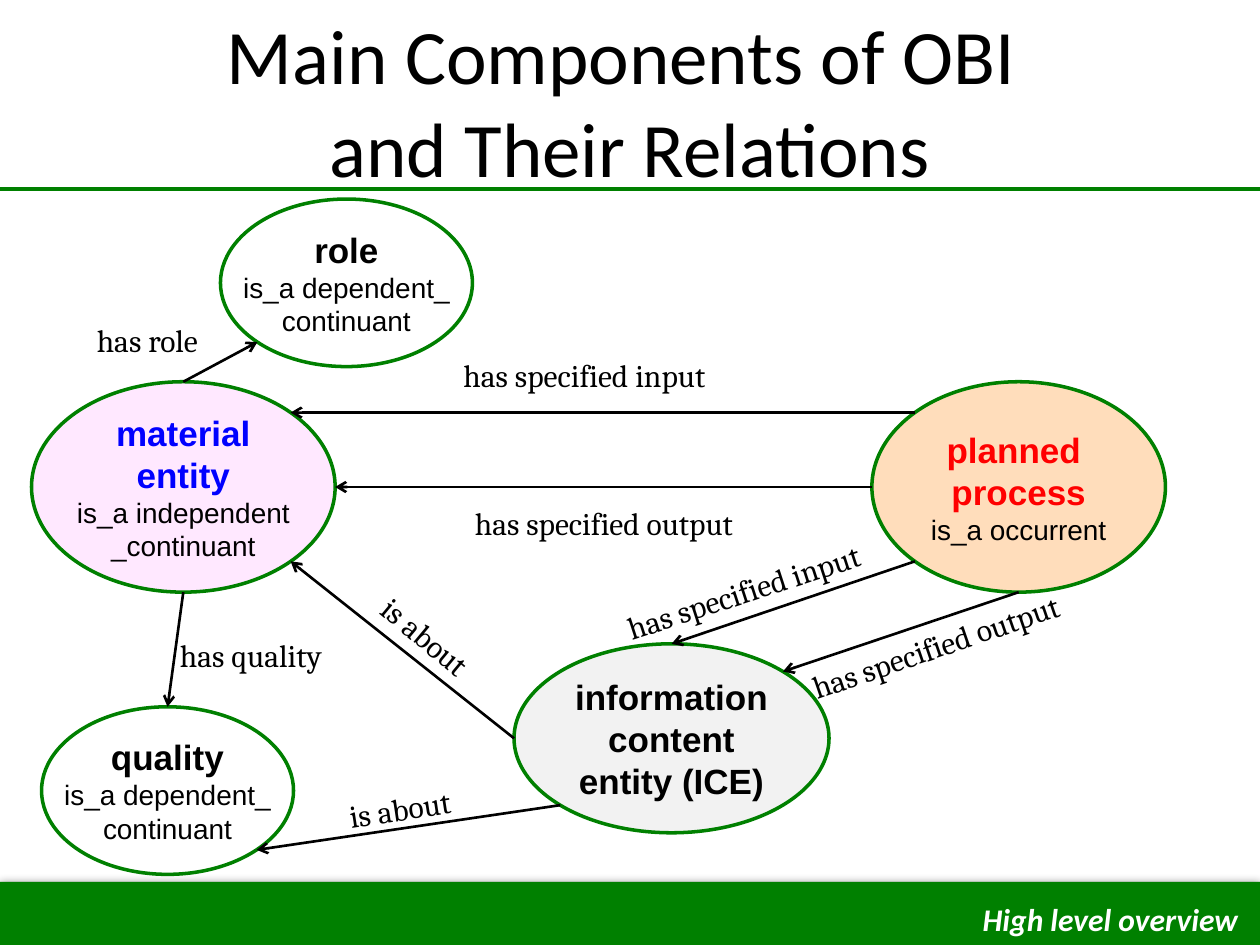
import math

from lxml import etree
from pptx import Presentation
from pptx.dml.color import RGBColor
from pptx.enum.shapes import MSO_CONNECTOR, MSO_SHAPE
from pptx.enum.text import MSO_ANCHOR, MSO_AUTO_SIZE, PP_ALIGN
from pptx.oxml import parse_xml
from pptx.oxml.ns import nsdecls, qn
from pptx.util import Emu, Pt

PX = 9144  # 100 px to the inch
CENTER, MIDDLE = PP_ALIGN.CENTER, MSO_ANCHOR.MIDDLE
NO_FIT, GROW = MSO_AUTO_SIZE.NONE, MSO_AUTO_SIZE.SHAPE_TO_FIT_TEXT
ELLIPSE, RECT, STRAIGHT = MSO_SHAPE.OVAL, MSO_SHAPE.RECTANGLE, MSO_CONNECTOR.STRAIGHT

BLACK = RGBColor(0x00, 0x00, 0x00)
WHITE = RGBColor(0xFF, 0xFF, 0xFF)
GREEN = RGBColor(0x00, 0x80, 0x00)
RED = RGBColor(0xFF, 0x00, 0x00)
BLUE = RGBColor(0x00, 0x00, 0xFF)
PEACH = RGBColor(0xFF, 0xCC, 0x99)
PINK = RGBColor(0xFF, 0xCC, 0xFF)
GREY = RGBColor(0xF2, 0xF2, 0xF2)

# Connection sites of an ellipse, counter-clockwise from the top
TOP, TOP_LEFT, LEFT, BOTTOM_LEFT, BOTTOM, BOTTOM_RIGHT, RIGHT, TOP_RIGHT = range(8)

# name: box, fill, opacity %, margin, wrap, heading colour, headings, details
NODES = {
    "process": ((692, 303, 233, 167), PEACH, 66, 0, False, RED,
                ["planned ", "process"], ["is_a occurrent"]),
    "quality": ((33, 561, 200, 133), WHITE, 100, 0, False, BLACK,
                ["quality"], ["is_a dependent_", "continuant"]),
    "material": ((25, 303, 241, 167), PINK, 45, 0, True, BLUE,
                 ["material entity"], ["is_a independent", "_continuant"]),
    "information": ((408, 511, 250, 150), GREY, 100, 10, True, BLACK,
                    ["information content entity (ICE)"], []),
    "role": ((175, 158, 200, 133), WHITE, 100, 0, False, BLACK,
             ["role"], ["is_a dependent_", "continuant"]),
}

# from, site, to, site, label, label box, rotation, wrap
RELATIONS = [
    ("material", BOTTOM, "quality", TOP, "has quality", (133, 500, 170, 40), 0, True),
    ("information", LEFT, "material", BOTTOM_RIGHT, "is about", (286, 489, 113, 40), 39.9, False),
    ("process", TOP_LEFT, "material", TOP_RIGHT, "has specified input", (358, 278, 259, 40), 0, True),
    ("process", LEFT, "material", RIGHT, "has specified output", (367, 395, 259, 40), 0, True),
    ("information", BOTTOM_LEFT, "quality", BOTTOM_RIGHT, "is about", (267, 621, 113, 40), 351.3, False),
    ("process", BOTTOM_LEFT, "information", TOP, "has specified input", (483, 442, 259, 40), 342, True),
    ("process", BOTTOM, "information", TOP_RIGHT, "has specified output", (629, 487, 259, 40), 340.9, True),
    ("material", TOP, "role", BOTTOM_LEFT, "has role", (67, 250, 117, 40), 0, True),
]


def px(*values):
    return [Emu(round(v * PX)) for v in values]


def add_run(p, text, font, size, color, bold=False, italic=False):
    r = p.add_run()
    r.text = text
    r.font.name, r.font.size = font, Pt(size)
    r.font.bold, r.font.italic = bold, italic
    r.font.color.rgb = color


def add_label(s, box, text, font="Cambria", color=BLACK, strong=False, rotation=0, wrap=True):
    tb = s.shapes.add_textbox(*px(*box))
    tb.rotation = rotation
    tf = tb.text_frame
    tf.word_wrap, tf.auto_size = wrap, GROW
    add_run(tf.paragraphs[0], text, font, 18, color, strong, strong)


def add_line(s, start, end, color, width, arrow=False):
    line = s.shapes.add_connector(STRAIGHT, *px(*start, *end))
    line.line.color.rgb, line.line.width = color, Pt(width)
    if arrow:
        etree.SubElement(line.line._get_or_add_ln(), qn("a:tailEnd"), type="arrow")
    etree.SubElement(line._element.spPr, qn("a:effectLst"))


def add_node(s, box, fill, opacity, margin, wrap, color, headings, details):
    sp = s.shapes.add_shape(ELLIPSE, *px(*box))
    sp.shadow.inherit = False
    sp.fill.solid()
    sp.fill.fore_color.rgb = fill
    if opacity < 100:
        clr = sp._element.spPr.find(qn("a:solidFill"))[0]
        etree.SubElement(clr, qn("a:alpha"), val=str(opacity * 1000))
    sp.line.color.rgb, sp.line.width = GREEN, Pt(2)

    tf = sp.text_frame
    tf.word_wrap, tf.vertical_anchor = wrap, MIDDLE
    tf.margin_left, tf.margin_right = px(margin, margin)
    tf.margin_top, tf.margin_bottom = px(margin / 2, margin / 2)
    lines = [(t, 20, color, True) for t in headings] + [(t, 16, BLACK, False) for t in details]
    for i, (text, size, rgb, bold) in enumerate(lines):
        p = tf.add_paragraph() if i else tf.paragraphs[0]
        p.alignment = CENTER
        add_run(p, text, "Arial", size, rgb, bold)


def site_point(box, site):
    left, top, width, height = box
    angle = site * math.pi / 4
    return (left + width / 2 * (1 - math.sin(angle)),
            top + height / 2 * (1 - math.cos(angle)))


def add_title(s, box):
    title = s.shapes.title
    title.left, title.top, title.width, title.height = px(*box)
    tf = title.text_frame
    tf.auto_size, tf.vertical_anchor = NO_FIT, MIDDLE
    p = tf.paragraphs[0]
    p.alignment = CENTER
    add_run(p, "Main Components of OBI ", "Calibri", 44, BLACK)
    p.add_line_break()
    add_run(p, "and Their Relations", "Calibri", 44, BLACK)


def add_footer_bar(s, box):
    bar = s.shapes.add_shape(RECT, *px(*box))
    bar.fill.solid()
    bar.fill.fore_color.rgb = GREEN
    bar.line.fill.background()
    # Soft glow-like shadow around the bar
    bar._element.spPr.append(parse_xml(
        f'<a:effectLst {nsdecls("a")}><a:outerShdw blurRad="{Pt(5)}" dist="0" dir="0">'
        '<a:srgbClr val="000000"><a:alpha val="40000"/></a:srgbClr>'
        '</a:outerShdw></a:effectLst>'))


def add_diagram(s):
    for node in NODES.values():
        add_node(s, *node)
    for source, out, target, into, text, box, rotation, wrap in RELATIONS:
        start = site_point(NODES[source][0], out)
        end = site_point(NODES[target][0], into)
        add_line(s, start, end, BLACK, 1.5, arrow=True)
        add_label(s, box, text, rotation=rotation, wrap=wrap)


def main():
    prs = Presentation()
    prs.slide_width, prs.slide_height = px(1000, 750)
    s = prs.slides.add_slide(prs.slide_layouts[5])
    # Frame
    add_footer_bar(s, (0, 700, 1000, 50))
    add_line(s, (0, 150), (1000, 150), GREEN, 2.25)
    add_title(s, (50, 17, 900, 125))
    # Content
    add_diagram(s)
    add_label(s, (770, 709, 231, 40), "High level overview", "Calibri", WHITE, strong=True, wrap=False)
    prs.save("out.pptx")


if __name__ == "__main__":
    main()
